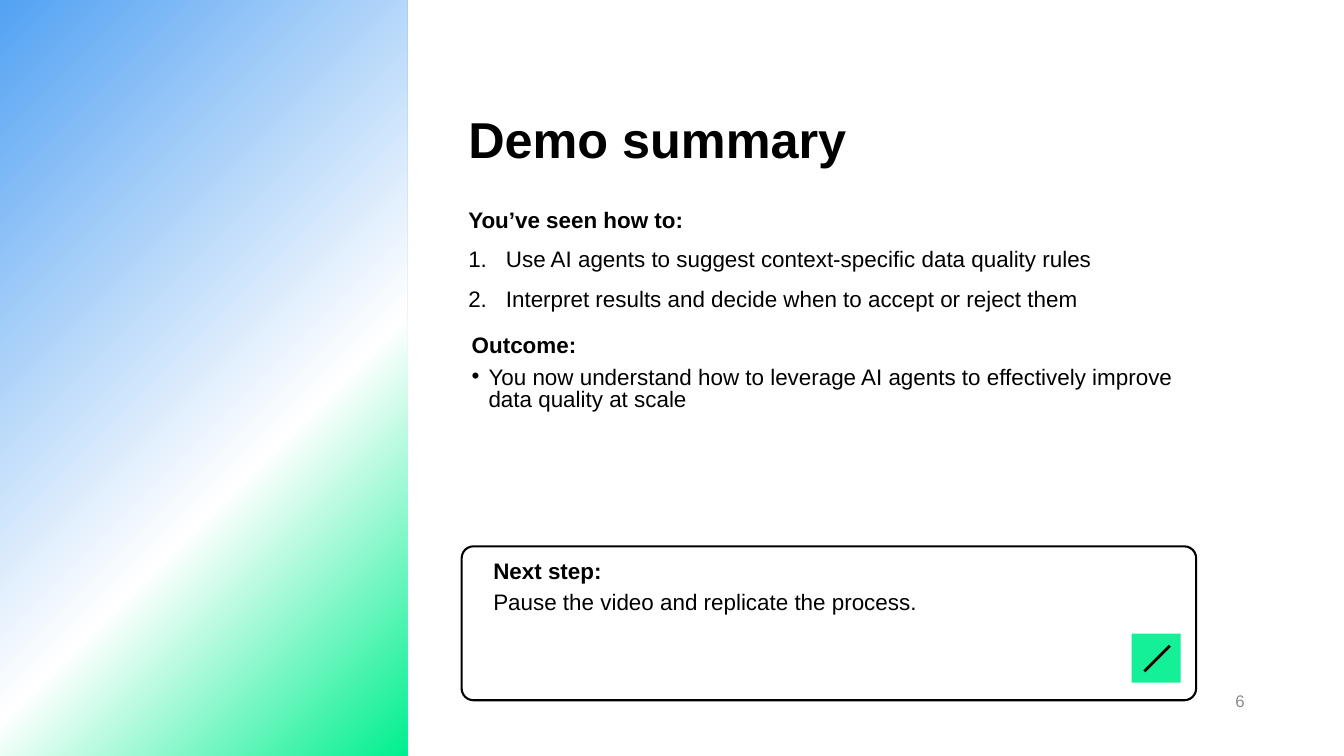
"""Build the demo summary slide."""
from copy import deepcopy

from lxml import etree
from pptx import Presentation
from pptx.dml.color import RGBColor
from pptx.enum import shapes, text
from pptx.oxml.ns import qn
from pptx.util import Inches, Pt

FONT = "Arial"
BLACK = "000000"
COLUMN_LEFT, COLUMN_WIDTH = 6.87, 10.93
WIDE_INSETS = (0.15, 0.07)


def color(value):
    """Return the colour for a hex string."""
    return RGBColor.from_string(value)


def add_block(container, preset, left, top, width, height, fill=None, line=None):
    """Add a flat preset shape with an optional solid fill and outline."""
    block = container.add_shape(preset, Inches(left), Inches(top), Inches(width), Inches(height))
    block.shadow.inherit = False
    if fill:
        block.fill.solid()
        block.fill.fore_color.rgb = color(fill)
    if line:
        block.line.color.rgb = color(line)
        block.line.width = Pt(2.25)
    else:
        block.line.fill.background()
    return block


def add_gradient_panel(page, width, height, stops):
    """Add the side panel with a diagonal gradient."""
    panel = add_block(page.shapes, shapes.MSO_SHAPE.RECTANGLE, 0, 0, width, height)
    panel.fill.gradient()
    panel.fill.gradient_angle = 315
    stop_list = panel.fill._fill._gradFill.find(qn("a:gsLst"))
    stop_list.insert(1, deepcopy(stop_list[0]))
    for stop, (position, value) in zip(panel.fill.gradient_stops, stops):
        stop.position = position
        stop.color.rgb = color(value)


def add_bullet(paragraph, kind, indent):
    """Give a paragraph a hanging bullet or number."""
    properties = paragraph._p.get_or_add_pPr()
    properties.set("marL", str(Inches(indent)))
    properties.set("indent", str(-Inches(indent)))
    bullet_color = etree.SubElement(properties, qn("a:buClr"))
    etree.SubElement(bullet_color, qn("a:srgbClr"), val=BLACK)
    if kind == "number":
        etree.SubElement(properties, qn("a:buAutoNum"), type="arabicPeriod")
    else:
        etree.SubElement(properties, qn("a:buFont"), typeface=FONT)
        etree.SubElement(properties, qn("a:buChar"), char=kind)


def style(paragraph, size, bold=False, value=BLACK):
    """Set the font of a whole paragraph."""
    paragraph.font.name = FONT
    paragraph.font.size = Pt(size)
    paragraph.font.bold = bold
    paragraph.font.color.rgb = color(value)


def add_frame(page, left, top, width, height, insets=(0.1, 0.05)):
    """Add a wrapping text box and return its text frame."""
    box = page.shapes.add_textbox(Inches(left), Inches(top), Inches(width), Inches(height))
    frame = box.text_frame
    frame.word_wrap = True
    frame.margin_left = frame.margin_right = Inches(insets[0])
    frame.margin_top = frame.margin_bottom = Inches(insets[1])
    return frame


def add_line(page, left, top, width, height, words, size, **look):
    """Add a vertically centred single-line text box and return its paragraph."""
    frame = add_frame(page, left, top, width, height)
    frame.vertical_anchor = text.MSO_ANCHOR.MIDDLE
    paragraph = frame.paragraphs[0]
    paragraph.text = words
    style(paragraph, size, **look)
    return paragraph


def add_section(frame, heading, items, leading, gap, bullet=None, indent=0):
    """Fill a frame with a bold heading and the items below it."""
    for index, words in enumerate([heading, *items]):
        paragraph = frame.add_paragraph() if index else frame.paragraphs[0]
        paragraph.text = words
        if index and bullet:
            add_bullet(paragraph, bullet, indent)
        paragraph.line_spacing = Pt(leading)
        if index:
            paragraph.space_before = Pt(gap)
        style(paragraph, 24, bold=index == 0)


def add_slash_icon(page, left, top, side):
    """Add the grouped green square with a diagonal stroke."""
    icon = page.shapes.add_group_shape()
    add_block(icon.shapes, shapes.MSO_SHAPE.RECTANGLE, left, top, side, side, "13F097")
    near, far = 0.19, 0.57
    slash = icon.shapes.add_connector(
        shapes.MSO_CONNECTOR.STRAIGHT,
        Inches(left + far), Inches(top + near - 0.01),
        Inches(left + near), Inches(top + far - 0.01))
    slash.line.color.rgb = color(BLACK)
    slash.line.width = Pt(3)
    etree.SubElement(slash._element.spPr, qn("a:effectLst"))


def main():
    """Build and save the slide."""
    deck = Presentation()
    deck.slide_width, deck.slide_height = Inches(20), Inches(11.25)
    page = deck.slides.add_slide(deck.slide_layouts[6])

    add_gradient_panel(page, 6.06, 11.25, [(0, "53A2F3"), (0.62, "FFFFFF"), (1, "00EF8E")])
    title = add_line(page, COLUMN_LEFT, 1.32, COLUMN_WIDTH, 1.59, "Demo summary", 54, bold=True)
    title.line_spacing = 0.9
    number = add_line(page, 14.12, 10.13, 4.5, 0.6, "6", 18, value="8C8C8C")
    number.alignment = text.PP_ALIGN.RIGHT

    add_section(
        add_frame(page, COLUMN_LEFT, 2.92, COLUMN_WIDTH, 2.85),
        "You’ve seen how to:",
        ["Use AI agents to suggest context-specific data quality rules",
         "Interpret results and decide when to accept or reject them"],
        36, 6, "number", 0.56)
    add_section(
        add_frame(page, COLUMN_LEFT, 4.92, COLUMN_WIDTH, 1.59, WIDE_INSETS),
        "Outcome:",
        ["You now understand how to leverage AI agents to effectively improve data quality at scale"],
        24, 10, "•", 0.25)

    card = add_block(page.shapes, shapes.MSO_SHAPE.ROUNDED_RECTANGLE,
                     COLUMN_LEFT, 8.13, COLUMN_WIDTH, 2.29, "FFFFFF", BLACK)
    card.adjustments[0] = 0.077
    add_section(
        add_frame(page, 7.19, 8.28, 8.72, 1.97, WIDE_INSETS),
        "Next step:", ["Pause the video and replicate the process."], 24, 10)
    add_slash_icon(page, 16.84, 9.43, 0.73)

    deck.save("out.pptx")


if __name__ == "__main__":
    main()
